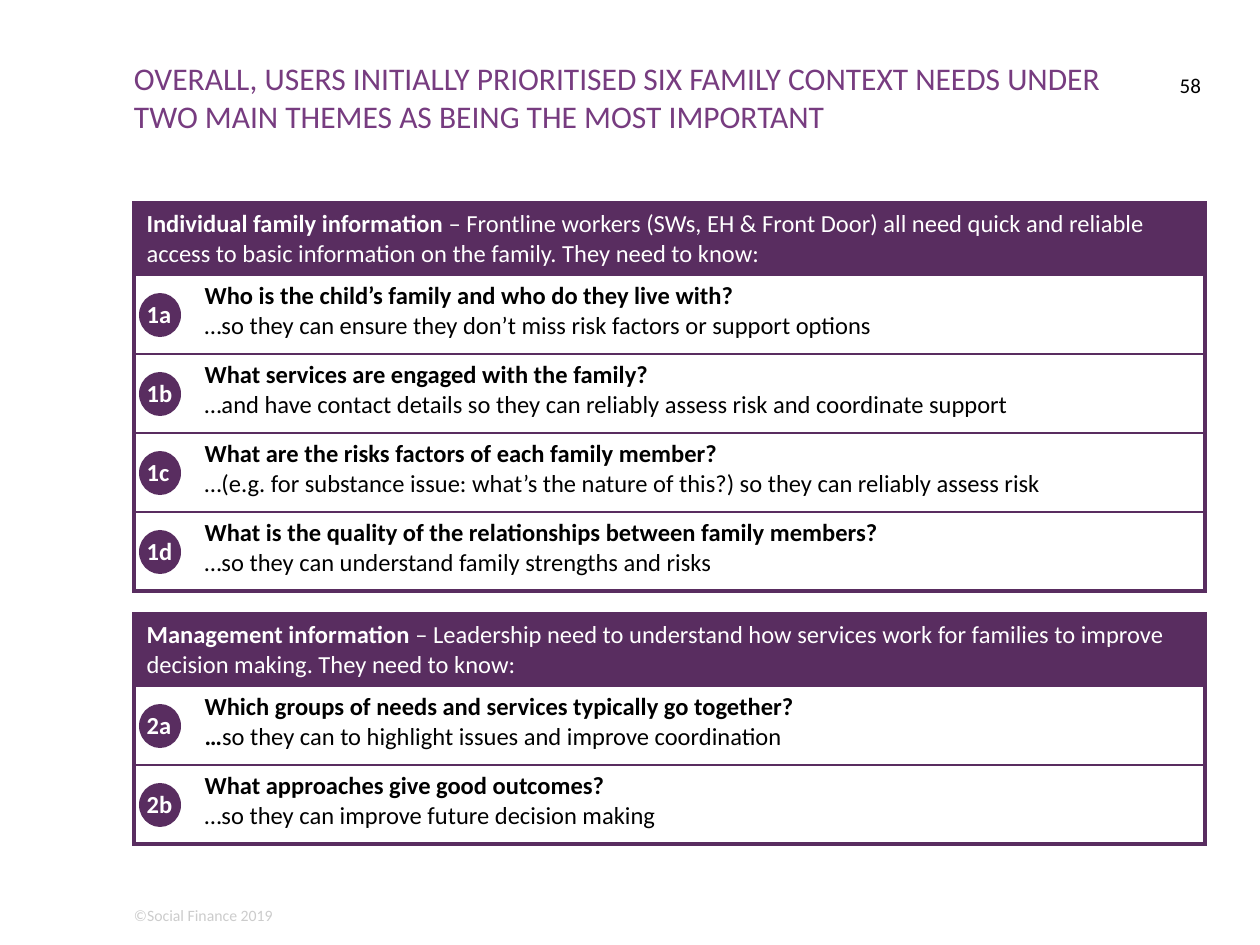
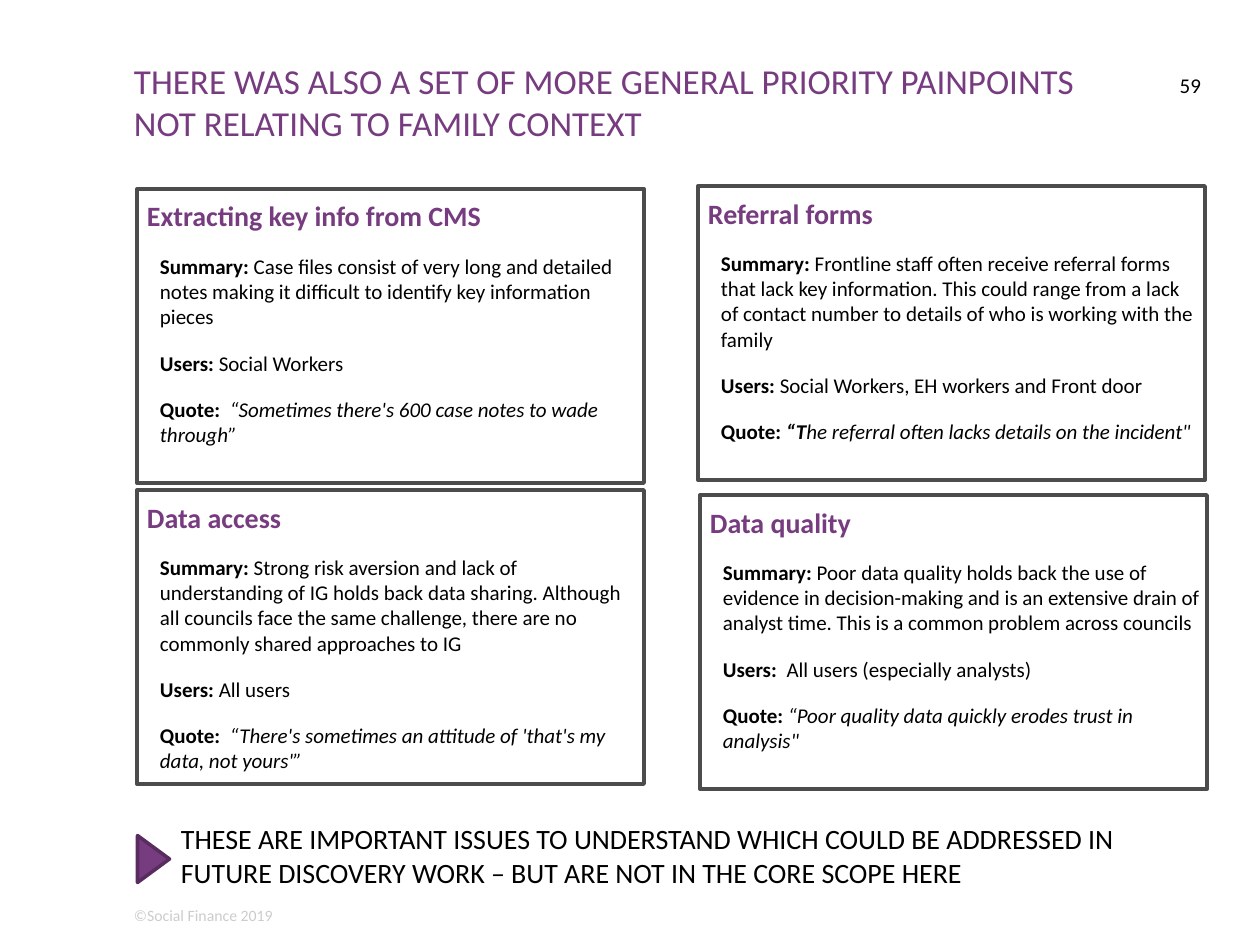
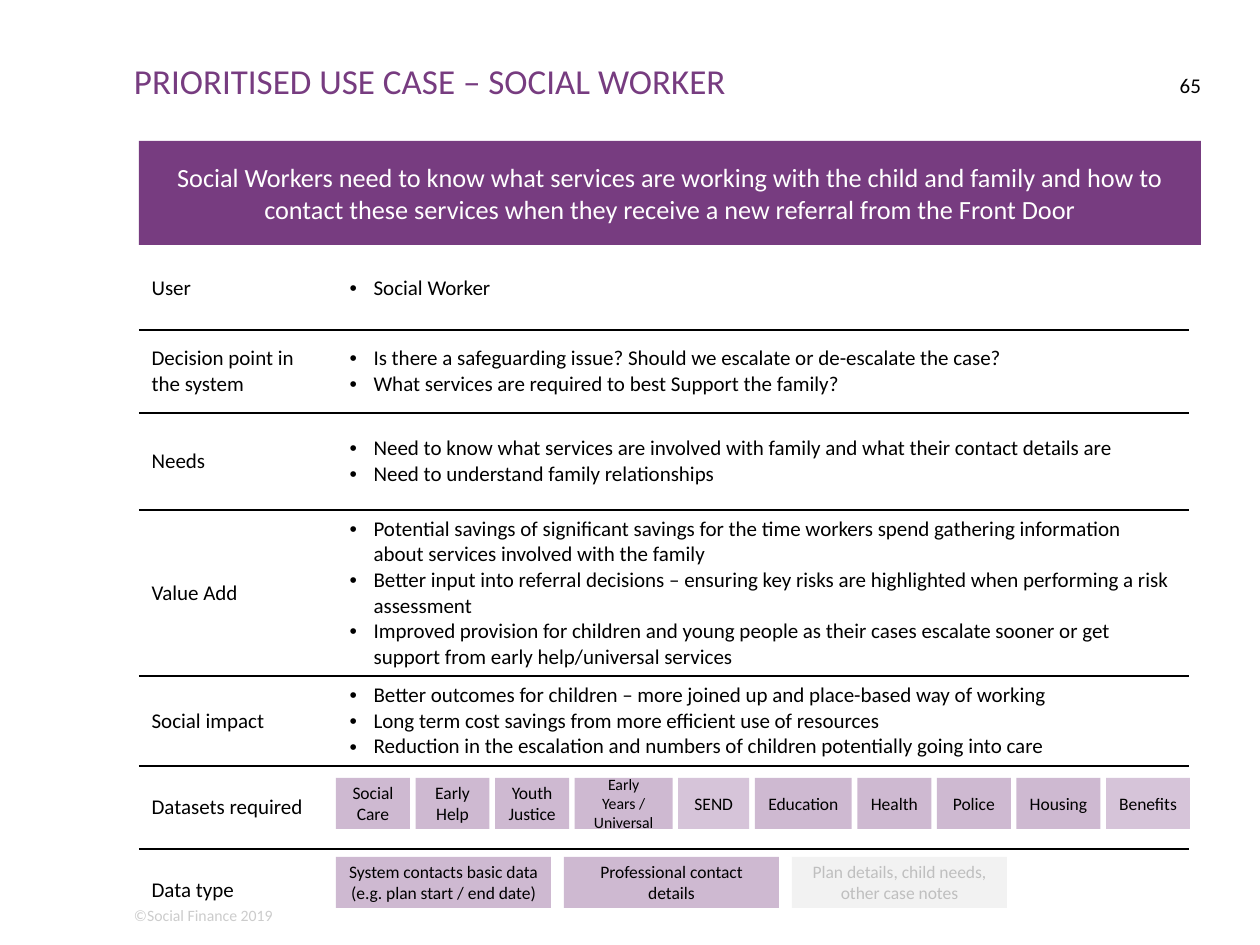
import lxml.etree
import pptx
import pptx.dml.color
import pptx.enum.shapes
import pptx.enum.text
import pptx.oxml.ns
import pptx.util

ANCHOR = pptx.enum.text.MSO_ANCHOR
ALIGN = pptx.enum.text.PP_ALIGN
PRESET = pptx.enum.shapes.MSO_SHAPE
qn = pptx.oxml.ns.qn

FONT = "Calibri"
COLOURS = {
    "purple": "773C80", "deep purple": "592D60", "triangle edge": "582C5F",
    "lilac": "CEB9D1", "pale lilac": "D6C4D9", "pale grey": "F2F2F2",
    "faded": "BFBFBF", "footer": "CCCCCC", "frame": "4C4C4C",
    "black": "000000", "white": "FFFFFF",
}
PLAIN_TABLE = "{2D5ABB26-0587-4C30-8999-92F81FD0307C}"
FOOTER = "©Social Finance 2019"

# Text is a list of runs: (words, style), with b for bold and i for italic.
THEMES = [
    {
        "top": 203, "columns": (58, 983, 30),
        "heading": [
            ("Individual family information ", "b"),
            ("– Frontline workers (SWs, EH & Front Door) all need quick and reliable "
             "access to basic information on the family. They need to know:", "")],
        "needs": [
            ("1a", "Who is the child’s family and who do they live with?",
             [("…so they can ensure they don’t miss risk factors or support options", "")]),
            ("1b", "What services are engaged with the family?",
             [("…and have contact details so they can reliably assess risk and "
               "coordinate support", "")]),
            ("1c", "What are the risks factors of each family member?",
             [("…(e.g. for substance issue: what’s the nature of this?) so they can "
               "reliably assess risk", "")]),
            ("1d", "What is the quality of the relationships between family members?",
             [("…so they can understand family strengths and risks", "")]),
        ],
    },
    {
        "top": 614, "columns": (58, 965, 48),
        "heading": [
            ("Management information ", "b"),
            ("– Leadership need to understand how services work for families to improve "
             "decision making. They need to know:", "")],
        "needs": [
            ("2a", "Which groups of needs and services typically go together?",
             [("…", "b"), ("so they can to highlight issues and improve coordination", "")]),
            ("2b", "What approaches give good outcomes?",
             [("…so they can improve future decision making", "")]),
        ],
    },
]

PAINPOINTS = [
    {"corner": (137, 189), "right inset": 0, "name": "Extracting key info from CMS",
     "details": [
         [("Summary: ", "b"), ("Case files consist of very long and detailed notes making "
                               "it difficult to identify key information pieces", "")],
         [("Users: ", "b"), ("Social Workers", "")],
         [("Quote:  ", "b"), ("“Sometimes there's 600 case notes to wade through”", "i")]]},
    {"corner": (698, 186), "right inset": 10, "name": "Referral forms",
     "details": [
         [("Summary: ", "b"), ("Frontline staff often receive referral forms that lack key "
                               "information. This could range from a lack of contact number "
                               "to details of who is working with the family", "")],
         [("Users: ", "b"), ("Social Workers, EH workers and Front door", "")],
         [("Quote: ", "b"), ("“T", "bi"),
          ("he referral often lacks details on the incident\"", "i")]]},
    {"corner": (137, 490), "right inset": 0, "name": "Data access",
     "details": [
         [("Summary: ", "b"), ("Strong risk aversion and lack of understanding of IG holds "
                               "back data sharing. Although all councils face the same "
                               "challenge, there are no commonly shared approaches to IG", "")],
         [("Users: ", "b"), ("All users", "")],
         [("Quote:  ", "b"),
          ("“There's sometimes an attitude of 'that's my data, not yours'”", "i")]]},
    {"corner": (700, 495), "right inset": 0, "name": "Data quality",
     "details": [
         [("Summary: ", "b"), ("Poor data quality holds back the use of evidence in "
                               "decision-making and is an extensive drain of analyst time. "
                               "This is a common problem across councils", "")],
         [("Users:  ", "b"), ("All users (especially analysts)", "")],
         [("Quote: ", "b"), ("“Poor quality data quickly erodes trust in analysis\"", "i")]]},
]
SCOPE_NOTE = ("THESE ARE IMPORTANT ISSUES TO UNDERSTAND WHICH COULD BE ADDRESSED IN FUTURE "
              "DISCOVERY WORK – BUT ARE NOT IN THE CORE SCOPE HERE")

USE_CASE = ("Social Workers need to know what services are working with the child and family "
            "and how to contact these services when they receive a new referral from the "
            "Front Door")
ASPECTS = [  # name, row height, points
    ("User", 83, ["Social Worker"]),
    ("Decision point in the system", 83, [
        "Is there a safeguarding issue? Should we escalate or de-escalate the case?",
        "What services are required to best Support the family?"]),
    ("Needs", 97, [
        "Need to know what services are involved with family and what their contact "
        "details are",
        "Need to understand family relationships"]),
    ("Value Add", 166, [
        "Potential savings of significant savings for the time workers spend gathering "
        "information about services involved with the family",
        "Better input into referral decisions – ensuring key risks are highlighted when "
        "performing a risk assessment",
        "Improved provision for children and young people as their cases escalate sooner "
        "or get support from early help/universal services"]),
    ("Social impact", 90, [
        "Better outcomes for children – more joined up and place-based way of working",
        "Long term cost savings from more efficient use of resources",
        "Reduction in the escalation and numbers of children potentially going into care"]),
    ("Datasets required", 83, []),
    ("Data type", 83, []),
]
DATASETS = [  # name, width, fill, text size
    ("Social Care", 74, "lilac", 10), ("Early Help", 74, "lilac", 10),
    ("Youth Justice", 74, "lilac", 10), ("Early Years / Universal", 98, "lilac", 9),
    ("SEND", 71, "pale lilac", 10), ("Education", 97, "lilac", 10),
    ("Health", 74, "lilac", 10), ("Police", 74, "lilac", 10),
    ("Housing", 84, "lilac", 10), ("Benefits", 84, "pale lilac", 10),
]
DATA_TYPES = [  # name, fill, text colour
    ("System contacts basic data (e.g. plan start / end date)", "lilac", "black"),
    ("Professional contact details", "lilac", "black"),
    ("Plan details, child needs, other case notes", "pale grey", "faded"),
]


def px(length):
    return pptx.util.Emu(round(length * 914400 / 126))


def rgb(name):
    return pptx.dml.color.RGBColor.from_string(COLOURS[name])


def add_runs(paragraph, runs, size, colour):
    for words, style in runs:
        run = paragraph.add_run()
        run.text = words
        font = run.font
        font.name, font.size = FONT, pptx.util.Pt(size)
        font.bold, font.italic = "b" in style, "i" in style
        font.color.rgb = rgb(colour)


def set_frame(frame, anchor=ANCHOR.TOP, insets=(0, 0, 0, 0)):
    """Wrap the text and set its insets: left, top, right, bottom."""
    frame.word_wrap = True
    frame.auto_size = pptx.enum.text.MSO_AUTO_SIZE.NONE
    frame.vertical_anchor = anchor
    (frame.margin_left, frame.margin_top,
     frame.margin_right, frame.margin_bottom) = map(px, insets)


def indent(paragraph, left, hanging=0):
    properties = paragraph._p.get_or_add_pPr()
    properties.set("marL", str(px(left)))
    properties.set("indent", str(-px(hanging)))
    return properties


def add_bullet(paragraph):
    properties = indent(paragraph, 24, 24)
    lxml.etree.SubElement(properties, qn("a:buFont"), typeface="Arial")
    lxml.etree.SubElement(properties, qn("a:buChar"), char="•")


def add_label(slide, box, words, size, colour, align=ALIGN.LEFT):
    label = slide.shapes.add_textbox(*map(px, box))
    set_frame(label.text_frame)
    paragraph = label.text_frame.paragraphs[0]
    paragraph.alignment = align
    add_runs(paragraph, [(words, "")], size, colour)


def add_figure(slide, preset, box, fill=None, edge=None, weight=0):
    figure = slide.shapes.add_shape(preset, *map(px, box))
    figure.shadow.inherit = False
    if fill:
        figure.fill.solid()
        figure.fill.fore_color.rgb = rgb(fill)
    else:
        figure.fill.background()
    if edge:
        figure.line.color.rgb = rgb(edge)
        figure.line.width = pptx.util.Pt(weight)
    else:
        figure.line.fill.background()
    return figure


def add_block(slide, box, words, fill, size, colour="black"):
    """Add a filled rectangle with centred text."""
    block = add_figure(slide, PRESET.RECTANGLE, box, fill)
    set_frame(block.text_frame, ANCHOR.MIDDLE, (13, 6, 13, 6))
    paragraph = block.text_frame.paragraphs[0]
    paragraph.alignment = ALIGN.CENTER
    add_runs(paragraph, [(words, "")], size, colour)


def add_plain_table(slide, left, top, columns, rows):
    table = slide.shapes.add_table(len(rows), len(columns), px(left), px(top),
                                   px(sum(columns)), px(sum(rows))).table
    table.first_row = table.horz_banding = False
    table._tbl.tblPr.find(qn("a:tableStyleId")).text = PLAIN_TABLE
    for column, width in zip(table.columns, columns):
        column.width = px(width)
    for row, height in zip(table.rows, rows):
        row.height = px(height)
    return table


def dress_cell(cell, borders, colour, fill=None):
    """Draw borders, a dict of side (L, R, T, B) to points, then the fill."""
    properties = cell._tc.get_or_add_tcPr()
    for side in "LRTB":
        if side in borders:
            line = lxml.etree.SubElement(properties, qn("a:ln" + side),
                                         w=str(pptx.util.Pt(borders[side])))
            solid = lxml.etree.SubElement(line, qn("a:solidFill"))
            lxml.etree.SubElement(solid, qn("a:srgbClr"), val=COLOURS[colour])
    if fill:
        cell.fill.solid()
        cell.fill.fore_color.rgb = rgb(fill)
    else:
        cell.fill.background()


def add_slide(deck, title, size, number):
    slide = deck.slides.add_slide(deck.slide_layouts[5])
    heading = slide.shapes.title
    heading.left, heading.top, heading.width, heading.height = map(px, (134, 59, 1005, 93))
    set_frame(heading.text_frame)
    paragraph = heading.text_frame.paragraphs[0]
    paragraph.alignment = ALIGN.LEFT
    add_runs(paragraph, [(title, "")], size, "purple")
    add_label(slide, (134, 906, 1063, 19), FOOTER, 9, "footer")
    add_label(slide, (1165, 73, 36, 50), number, 12, "black", ALIGN.RIGHT)
    return slide


def add_theme(slide, theme):
    left, heading_height, need_height = 134, 72, 79
    needs = theme["needs"]
    for index in range(len(needs)):
        top = theme["top"] + heading_height + index * need_height + 18
        add_figure(slide, PRESET.OVAL, (left + 5, top, 42, 44), "deep purple")

    table = add_plain_table(slide, left, theme["top"], theme["columns"],
                            [heading_height] + [need_height] * len(needs))
    last_row, last_column = len(needs), len(theme["columns"]) - 1
    for r in range(last_row + 1):
        for c in range(last_column + 1):
            borders = {"T": 1 if r else 2.25, "B": 2.25 if r == last_row else 1}
            if c == 0:
                borders["L"] = 2.25
            if c == last_column or r == 0:
                borders["R"] = 2.25
            dress_cell(table.cell(r, c), borders, "deep purple",
                       None if r else "deep purple")
    heading = table.cell(0, 0)
    heading.merge(table.cell(0, last_column))
    add_runs(heading.text_frame.paragraphs[0], theme["heading"], 14, "white")
    for r, (tag, question, reason) in enumerate(needs, 1):
        tag_cell = table.cell(r, 0)
        tag_cell.vertical_anchor = ANCHOR.MIDDLE
        add_runs(tag_cell.text_frame.paragraphs[0], [(tag, "b")], 14, "white")
        need = table.cell(r, 1).text_frame.paragraphs[0]
        add_runs(need, [(question, "b")], 14, "black")
        need.add_line_break()
        add_runs(need, reason, 14, "black")


def add_painpoint(slide, painpoint):
    card = add_figure(slide, PRESET.RECTANGLE, (*painpoint["corner"], 507, 294),
                      edge="frame", weight=2.25)
    frame = card.text_frame
    set_frame(frame, insets=(10, 10, painpoint["right inset"], 0))
    name = frame.paragraphs[0]
    name.alignment = ALIGN.LEFT
    add_runs(name, [(painpoint["name"], "b")], 16, "purple")
    for detail in painpoint["details"]:
        paragraph = frame.add_paragraph()
        indent(paragraph, 13)
        paragraph.alignment = ALIGN.LEFT
        paragraph.space_before = pptx.util.Pt(12)
        add_runs(paragraph, detail, 12, "black")


def add_aspects(slide):
    table = add_plain_table(slide, 139, 247, (198, 852), [a[1] for a in ASPECTS])
    for r, (name, _, points) in enumerate(ASPECTS):
        borders = {}
        if r > 0:
            borders["T"] = 1
        if r < len(ASPECTS) - 1:
            borders["B"] = 1
        for c in range(2):
            dress_cell(table.cell(r, c), borders, "black")
            table.cell(r, c).vertical_anchor = ANCHOR.MIDDLE
        add_runs(table.cell(r, 0).text_frame.paragraphs[0], [(name, "")], 12, "black")
        frame = table.cell(r, 1).text_frame
        for index, point in enumerate(points):
            paragraph = frame.add_paragraph() if index else frame.paragraphs[0]
            add_bullet(paragraph)
            add_runs(paragraph, [(point, "")], 12, "black")


def add_data_blocks(slide):
    left, right, height = 336, 1190, 51
    gap = (right - left - sum(d[1] for d in DATASETS)) / (len(DATASETS) - 1)
    x = left
    for name, width, fill, size in DATASETS:
        add_block(slide, (x, 778, width, height), name, fill, size)
        x += width + gap
    for index, (name, fill, colour) in enumerate(DATA_TYPES):
        add_block(slide, (left + index * 228, 857, 215, height), name, fill, 10, colour)


def main():
    deck = pptx.Presentation()
    deck.slide_width, deck.slide_height = px(1260), px(945)

    needs = add_slide(deck, "OVERALL, USERS INITIALLY PRIORITISED SIX FAMILY CONTEXT NEEDS "
                      "UNDER TWO MAIN THEMES AS BEING THE MOST IMPORTANT", 18, "58")
    for theme in THEMES:
        add_theme(needs, theme)

    painpoints = add_slide(deck, "THERE WAS ALSO A SET OF MORE GENERAL PRIORITY PAINPOINTS "
                           "NOT RELATING TO FAMILY CONTEXT", 20, "59")
    for painpoint in PAINPOINTS:
        add_painpoint(painpoints, painpoint)
    pointer = add_figure(painpoints, PRESET.ISOSCELES_TRIANGLE, (130, 843, 47, 32),
                         "purple", "triangle edge", 2)
    pointer.rotation = 90
    add_label(painpoints, (181, 822, 1022, 88), SCOPE_NOTE, 16, "black")

    use_case = add_slide(deck, "PRIORITISED USE CASE – SOCIAL WORKER", 20, "65")
    add_block(use_case, (139, 141, 1062, 104), USE_CASE, "purple", 15, "white")
    add_aspects(use_case)
    add_data_blocks(use_case)

    deck.save("out.pptx")


if __name__ == "__main__":
    main()
